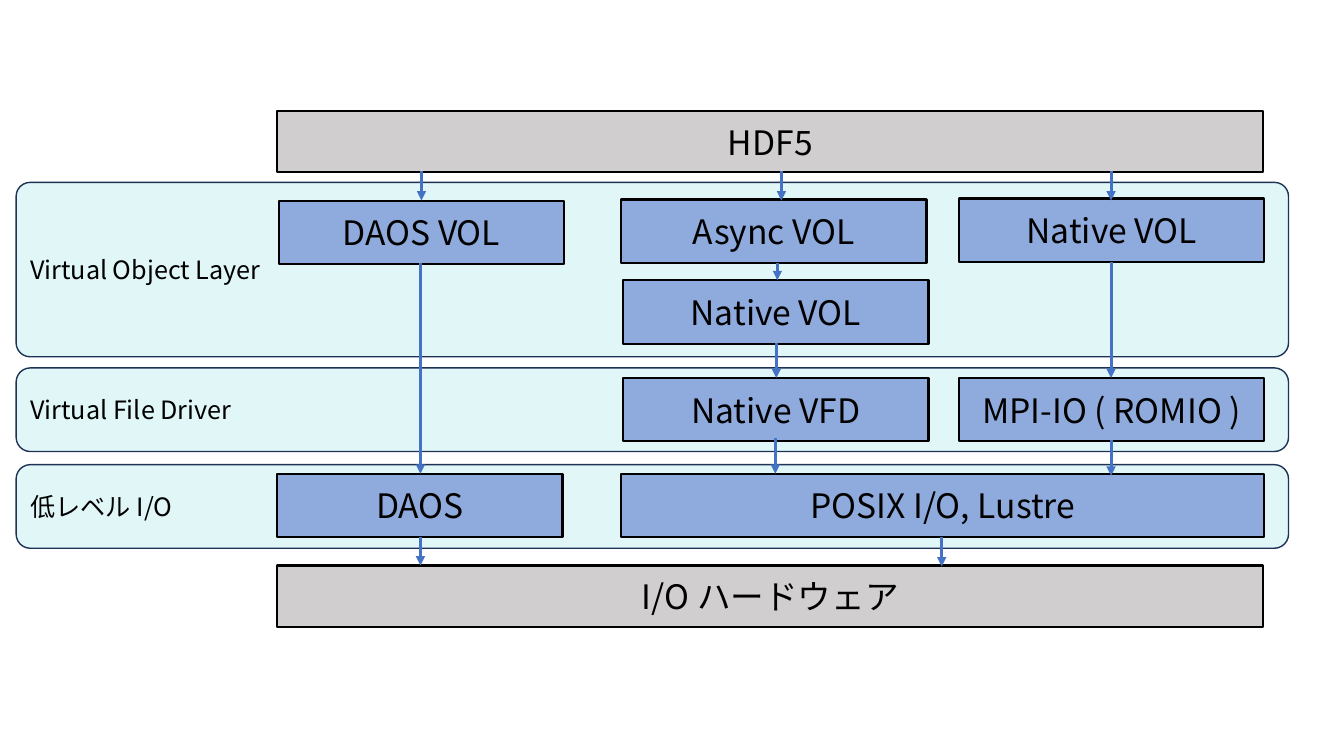
from dataclasses import dataclass

from lxml import etree
from pptx import Presentation
from pptx.dml import color
from pptx.enum import shapes, text
from pptx.oxml import ns
from pptx import util as u

FONT = "Noto Sans CJK JP"
COLORS = {
    "layer": "00BBC1",
    "layer_edge": "1E3256",
    "grey": "D0CECE",
    "blue": "8FAADC",
    "black": "000000",
    "arrow": "4472C4",
}


@dataclass(frozen=True)
class Style:
    shape: int
    fill: str
    edge: str
    edge_width: float
    size: int
    align: int
    opacity: int = 100


@dataclass(frozen=True)
class Block:
    label: str
    left: float
    top: float
    width: float
    height: float
    style: Style


@dataclass(frozen=True)
class Arrow:
    x: float
    start: float
    end: float


LAYER = Style(shapes.MSO_SHAPE.ROUNDED_RECTANGLE, "layer", "layer_edge", 1, 18,
              text.PP_ALIGN.LEFT, 12)
END = Style(shapes.MSO_SHAPE.RECTANGLE, "grey", "black", 1.5, 24, text.PP_ALIGN.CENTER)
MODULE = Style(shapes.MSO_SHAPE.RECTANGLE, "blue", "black", 1.5, 24, text.PP_ALIGN.CENTER)


def layer(label: str, top: float, height: float) -> Block:
    return Block(label, 0.16, top, 12.62, height, LAYER)


def end_bar(label: str, top: float) -> Block:
    return Block(label, 2.75, top, 9.78, 0.61, END)


def module(label: str, left: float, top: float, width: float = 3.03) -> Block:
    return Block(label, left, top, width, 0.63, MODULE)


BLOCKS = [
    layer("低レベル I/O", 4.61, 0.83),
    layer("Virtual File Driver", 3.65, 0.83),
    layer("Virtual Object Layer", 1.81, 1.73),
    end_bar("HDF5", 1.1),
    module("Native VOL", 9.51, 1.97),
    module("MPI-IO ( ROMIO )", 9.51, 3.75),
    module("POSIX I/O, Lustre", 6.16, 4.7, 6.38),
    end_bar("I/O ハードウェア", 5.61),
    module("DAOS VOL", 2.77, 1.99, 2.82),
    module("DAOS", 2.75, 4.7, 2.83),
    module("Native VFD", 6.18, 3.75),
    module("Native VOL", 6.18, 2.78),
    module("Async VOL", 6.16, 1.98),
]

ARROWS = [
    Arrow(4.18, 1.7, 1.99),
    Arrow(4.17, 2.61, 4.7),
    Arrow(4.17, 5.33, 5.61),
    Arrow(7.75, 1.7, 1.99),
    Arrow(7.71, 2.61, 2.78),
    Arrow(7.7, 3.4, 3.75),
    Arrow(7.69, 4.35, 4.7),
    Arrow(9.34, 5.33, 5.62),
    Arrow(11.02, 1.7, 1.99),
    Arrow(11.02, 2.6, 3.75),
    Arrow(11.02, 4.37, 4.72),
]


def rgb(name: str) -> color.RGBColor:
    return color.RGBColor.from_string(COLORS[name])


def apply(target, values: dict) -> None:
    for name, value in values.items():
        setattr(target, name, value)


def draw_block(slide, block: Block) -> None:
    style = block.style
    box = slide.shapes.add_shape(
        style.shape, u.Inches(block.left), u.Inches(block.top),
        u.Inches(block.width), u.Inches(block.height))
    box.shadow.inherit = False
    if style is LAYER:
        box.adjustments[0] = round(0.14 / block.height, 2)
    box.fill.solid()
    box.fill.fore_color.rgb = rgb(style.fill)
    if style.opacity < 100:
        fill_color = box.fill._xPr.find(".//" + ns.qn("a:srgbClr"))
        etree.SubElement(fill_color, ns.qn("a:alpha"), val=str(style.opacity * 1000))
    box.line.color.rgb = rgb(style.edge)
    box.line.width = u.Pt(style.edge_width)
    apply(box.text_frame, {"word_wrap": True, "vertical_anchor": text.MSO_ANCHOR.MIDDLE})
    para = box.text_frame.paragraphs[0]
    para.alignment = style.align
    span = para.add_run()
    span.text = block.label
    apply(span.font, {"name": FONT, "size": u.Pt(style.size)})
    span.font.color.rgb = rgb("black")
    latin = span.font._element.find(ns.qn("a:latin"))
    latin.addnext(latin.makeelement(ns.qn("a:ea"), {"typeface": FONT}))


def draw_arrow(slide, arrow: Arrow) -> None:
    line = slide.shapes.add_connector(
        shapes.MSO_CONNECTOR.STRAIGHT, u.Inches(arrow.x), u.Inches(arrow.start),
        u.Inches(arrow.x), u.Inches(arrow.end))
    line.line.color.rgb = rgb("arrow")
    line.line.width = u.Pt(2.25)
    properties = line._element.spPr
    etree.SubElement(properties.find(ns.qn("a:ln")), ns.qn("a:tailEnd"), type="triangle")
    etree.SubElement(properties, ns.qn("a:effectLst"))


def main() -> None:
    deck = Presentation()
    apply(deck, {"slide_width": u.Inches(13.33), "slide_height": u.Inches(7.5)})
    slide = deck.slides.add_slide(deck.slide_layouts[6])
    for block in BLOCKS:
        draw_block(slide, block)
    for arrow in ARROWS:
        draw_arrow(slide, arrow)
    deck.save("out.pptx")


if __name__ == "__main__":
    main()
